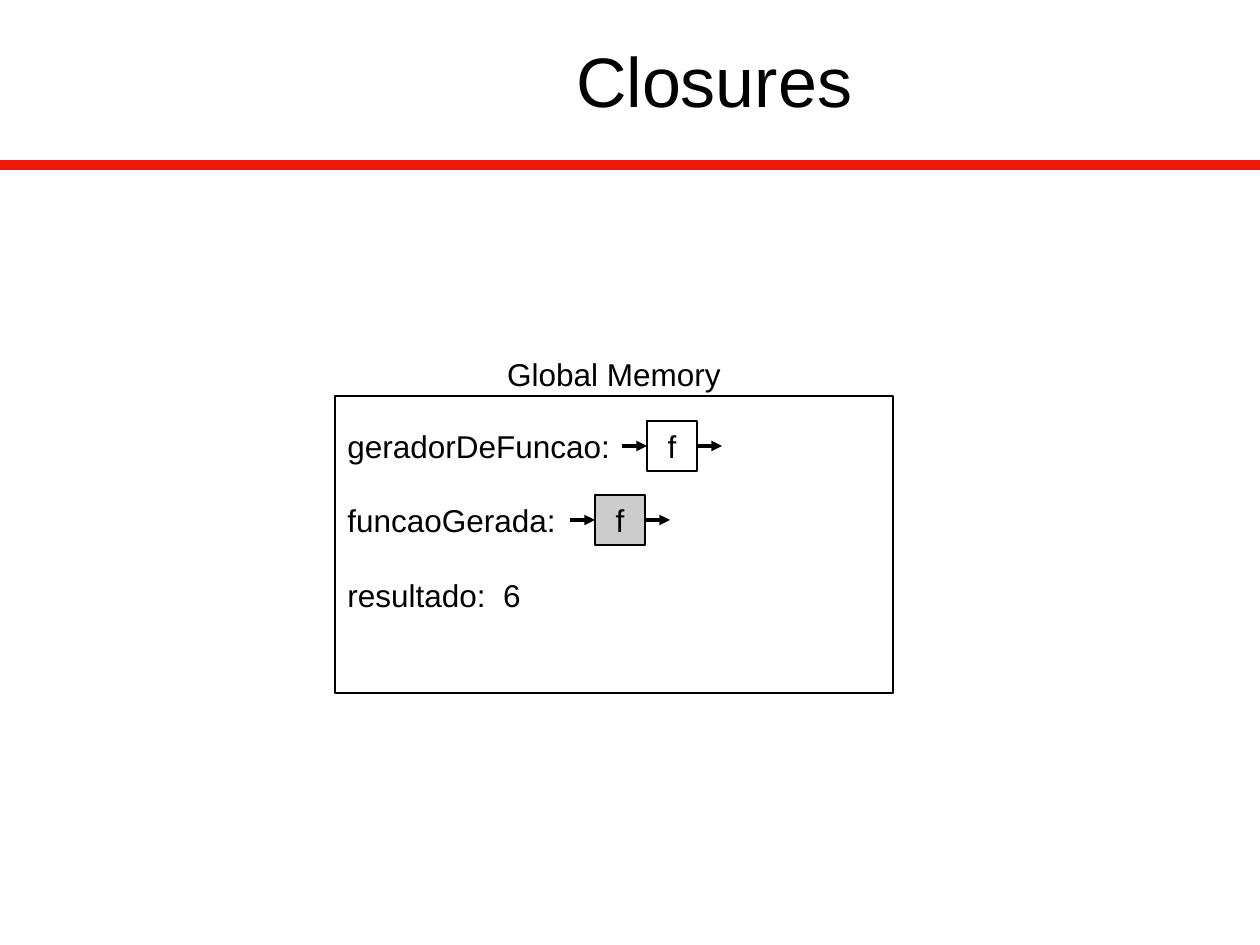
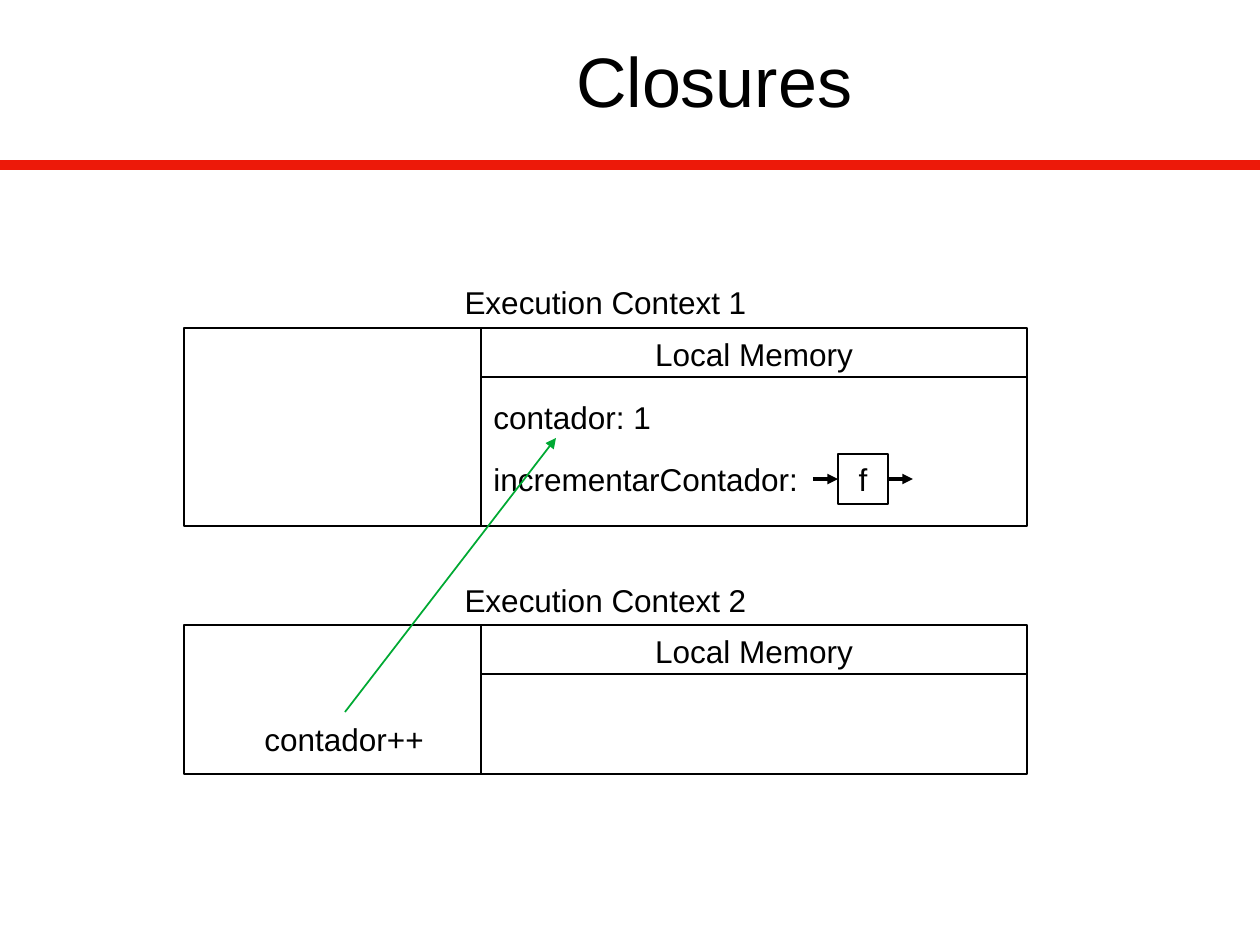
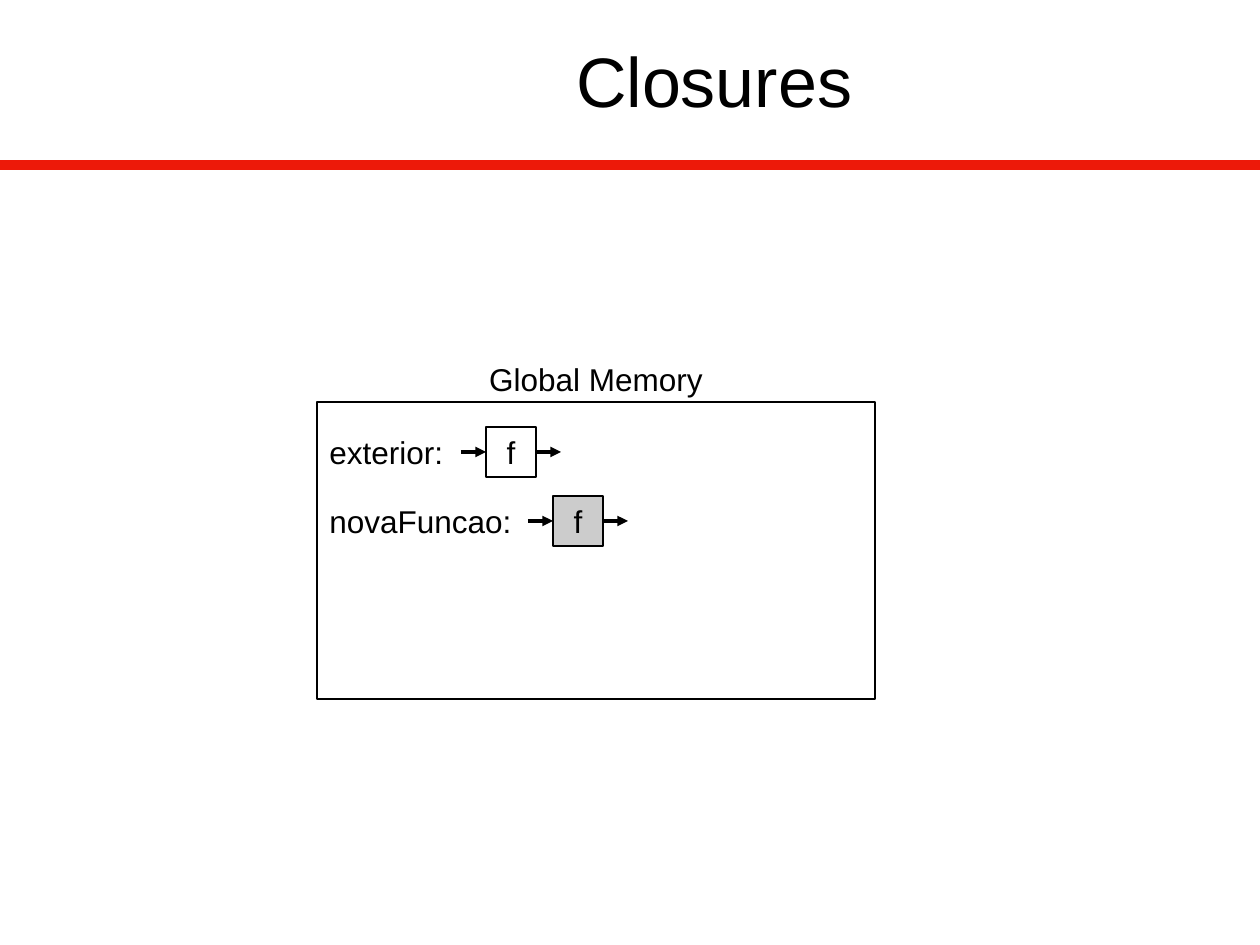
import pptx
import pptx.dml.color
import pptx.enum.shapes
import pptx.enum.text
import pptx.oxml.ns
import pptx.util
from lxml import etree

EMU_PER_PX = 914400 / 126
SLIDE_WIDTH, SLIDE_HEIGHT = 1260, 945
FONT = "Arial"
BLACK = pptx.dml.color.RGBColor(0x00, 0x00, 0x00)
RED = pptx.dml.color.RGBColor(0xED, 0x19, 0x09)
GREEN = pptx.dml.color.RGBColor(0x00, 0xA9, 0x33)
GREY = pptx.dml.color.RGBColor(0xCC, 0xCC, 0xCC)
CENTER = pptx.enum.text.PP_ALIGN.CENTER
LEFT = pptx.enum.text.PP_ALIGN.LEFT
MIDDLE = pptx.enum.text.MSO_ANCHOR.MIDDLE
RECTANGLE = pptx.enum.shapes.MSO_SHAPE.RECTANGLE
STRAIGHT = pptx.enum.shapes.MSO_CONNECTOR.STRAIGHT

TEXT_HEIGHT = 50
HEADER_HEIGHT = 49
FUNCTION_SIZE = 50
ARROW_LENGTH = 25


def px(*lengths):
    """Turn pixel lengths into EMU."""
    return [pptx.util.Emu(round(length * EMU_PER_PX)) for length in lengths]


def add_line(shapes, ends, color=BLACK, width=1, arrow=False):
    line = shapes.add_connector(STRAIGHT, *px(*ends))
    line.line.color.rgb = color
    line.line.width = pptx.util.Pt(width)
    if arrow:
        outline = line.line._get_or_add_ln()
        etree.SubElement(outline, pptx.oxml.ns.qn("a:tailEnd"), type="triangle")
    etree.SubElement(line.element.spPr, pptx.oxml.ns.qn("a:effectLst"))
    return line


presentation = pptx.Presentation()
presentation.slide_width, presentation.slide_height = px(SLIDE_WIDTH, SLIDE_HEIGHT)

# Title and red rule on every slide
slides = []
for number in range(3):
    slide = presentation.slides.add_slide(presentation.slide_layouts[5])
    add_line(slide.shapes, (0, 165, SLIDE_WIDTH, 165), RED, 6)
    title = slide.shapes.title
    title.left, title.top, title.width, title.height = px(193, -11, 1042, 181)
    title.text_frame.text = "Closures"
    title.text_frame.vertical_anchor = MIDDLE
    paragraph = title.text_frame.paragraphs[0]
    paragraph.alignment = CENTER
    paragraph.font.size = pptx.util.Pt(40)
    paragraph.font.name = FONT
    paragraph.font.color.rgb = BLACK
    slides.append(slide)
generator_slide, context_slide, outer_slide = slides

# Memory and context frames: slide, left, top, width, height
frames = [
    (generator_slide, 335, 396, 558, 297),
    (context_slide, 184, 328, 843, 198),
    (context_slide, 184, 625, 843, 149),
    (outer_slide, 317, 402, 558, 297),
]
for slide, *bounds in frames:
    frame = slide.shapes.add_shape(RECTANGLE, *px(*bounds))
    frame.shadow.inherit = False
    frame.fill.background()
    frame.line.color.rgb = BLACK
    frame.line.width = pptx.util.Pt(1)

# Local memory divisions inside each execution context
DIVIDER = 481
for slide, left, top, width, height in frames[1:3]:
    right = left + width
    header_bottom = top + HEADER_HEIGHT
    add_line(slide.shapes, (DIVIDER, top, DIVIDER, top + height))
    add_line(slide.shapes, (DIVIDER, header_bottom, right, header_bottom))

# Captions and variables: slide, text, left, top, width, alignment
labels = [
    (generator_slide, "Global Memory", 335, 349, 558, CENTER),
    (generator_slide, "geradorDeFuncao:", 335, 421, 298, LEFT),
    (generator_slide, "funcaoGerada:", 335, 495, 298, LEFT),
    (generator_slide, "resultado:  6", 335, 570, 298, LEFT),
    (context_slide, "Execution Context 1", 184, 277, 843, CENTER),
    (context_slide, "Local Memory", DIVIDER, 329, 546, CENTER),
    (context_slide, "contador: 1", DIVIDER, 392, 298, LEFT),
    (context_slide, "incrementarContador:", DIVIDER, 454, 348, LEFT),
    (context_slide, "Execution Context 2", 184, 575, 843, CENTER),
    (context_slide, "Local Memory", DIVIDER, 626, 546, CENTER),
    (context_slide, "contador++", 252, 714, 298, LEFT),
    (outer_slide, "Global Memory", 317, 354, 558, CENTER),
    (outer_slide, "exterior:", 317, 427, 298, LEFT),
    (outer_slide, "novaFuncao:", 317, 496, 298, LEFT),
]
for slide, text, left, top, width, alignment in labels:
    label = slide.shapes.add_textbox(*px(left, top, width, TEXT_HEIGHT))
    label.text_frame.word_wrap = True
    label.text_frame.text = text
    paragraph = label.text_frame.paragraphs[0]
    paragraph.alignment = alignment
    paragraph.runs[0].font.size = pptx.util.Pt(18)
    paragraph.runs[0].font.name = FONT
    paragraph.runs[0].font.color.rgb = BLACK

# Function boxes with an arrow in and an arrow out: slide, left, top, fill
functions = [
    (generator_slide, 647, 421, None),
    (generator_slide, 595, 495, GREY),
    (context_slide, 838, 454, None),
    (outer_slide, 486, 427, None),
    (outer_slide, 553, 496, GREY),
]
for slide, left, top, fill in functions:
    group = slide.shapes.add_group_shape()
    box = group.shapes.add_shape(RECTANGLE, *px(left, top, FUNCTION_SIZE, FUNCTION_SIZE))
    box.shadow.inherit = False
    if fill is None:
        box.fill.background()
    else:
        box.fill.solid()
        box.fill.fore_color.rgb = fill
    box.line.color.rgb = BLACK
    box.line.width = pptx.util.Pt(1)
    box.text_frame.word_wrap = False
    box.text_frame.vertical_anchor = MIDDLE
    box.text_frame.text = "f"
    paragraph = box.text_frame.paragraphs[0]
    paragraph.alignment = CENTER
    paragraph.runs[0].font.size = pptx.util.Pt(18)
    paragraph.runs[0].font.name = FONT
    paragraph.runs[0].font.color.rgb = BLACK

    right = left + FUNCTION_SIZE
    middle = top + FUNCTION_SIZE // 2
    arrow_in = add_line(group.shapes, (left - ARROW_LENGTH, middle, left, middle), width=0, arrow=True)
    arrow_in.end_connect(box, 1)
    arrow_out = add_line(group.shapes, (right, middle, right + ARROW_LENGTH, middle), width=0, arrow=True)
    arrow_out.begin_connect(box, 3)

# The inner call reaches the counter of the outer context
add_line(context_slide.shapes, (345, 712, 556, 438), GREEN, arrow=True)

presentation.save("out.pptx")
